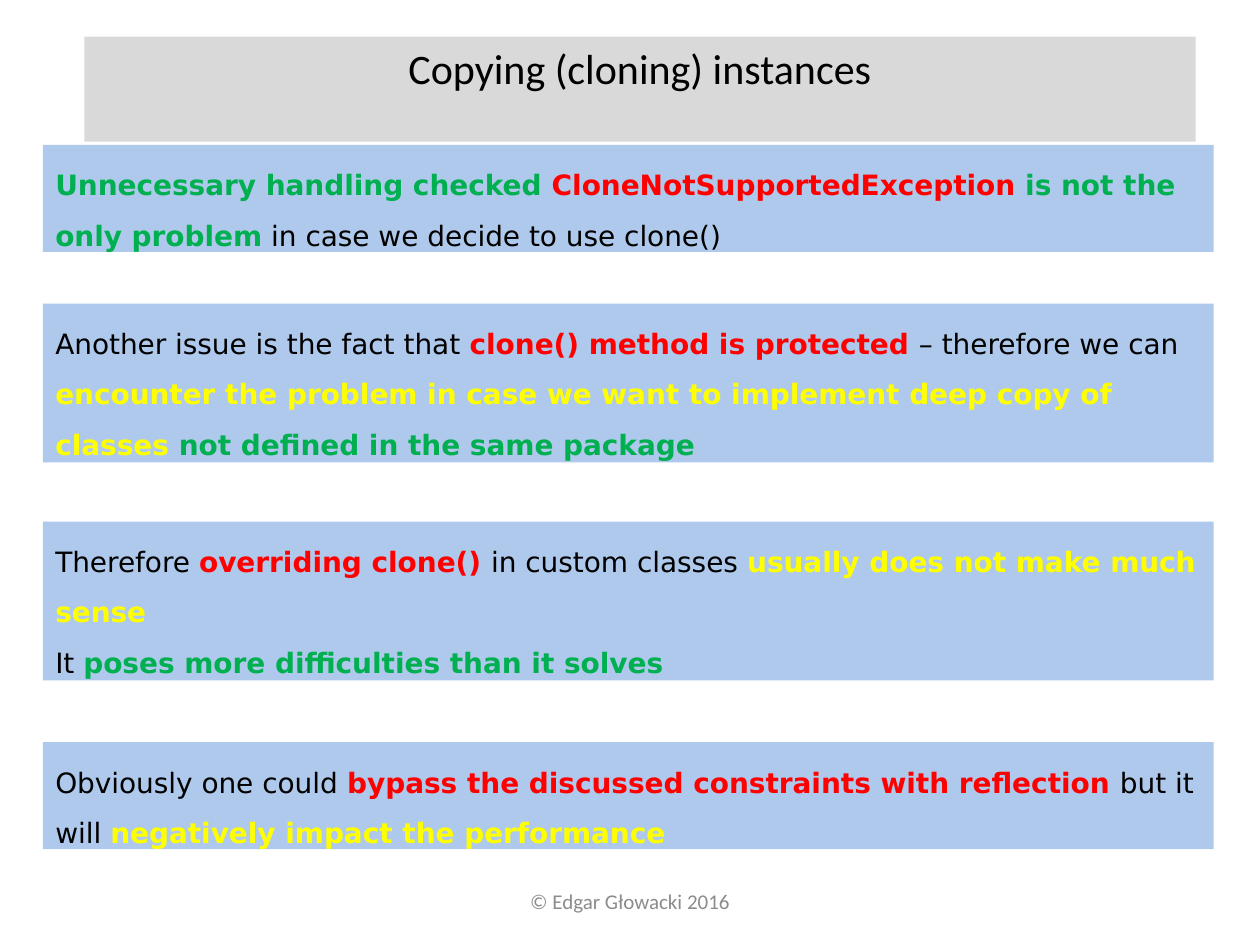
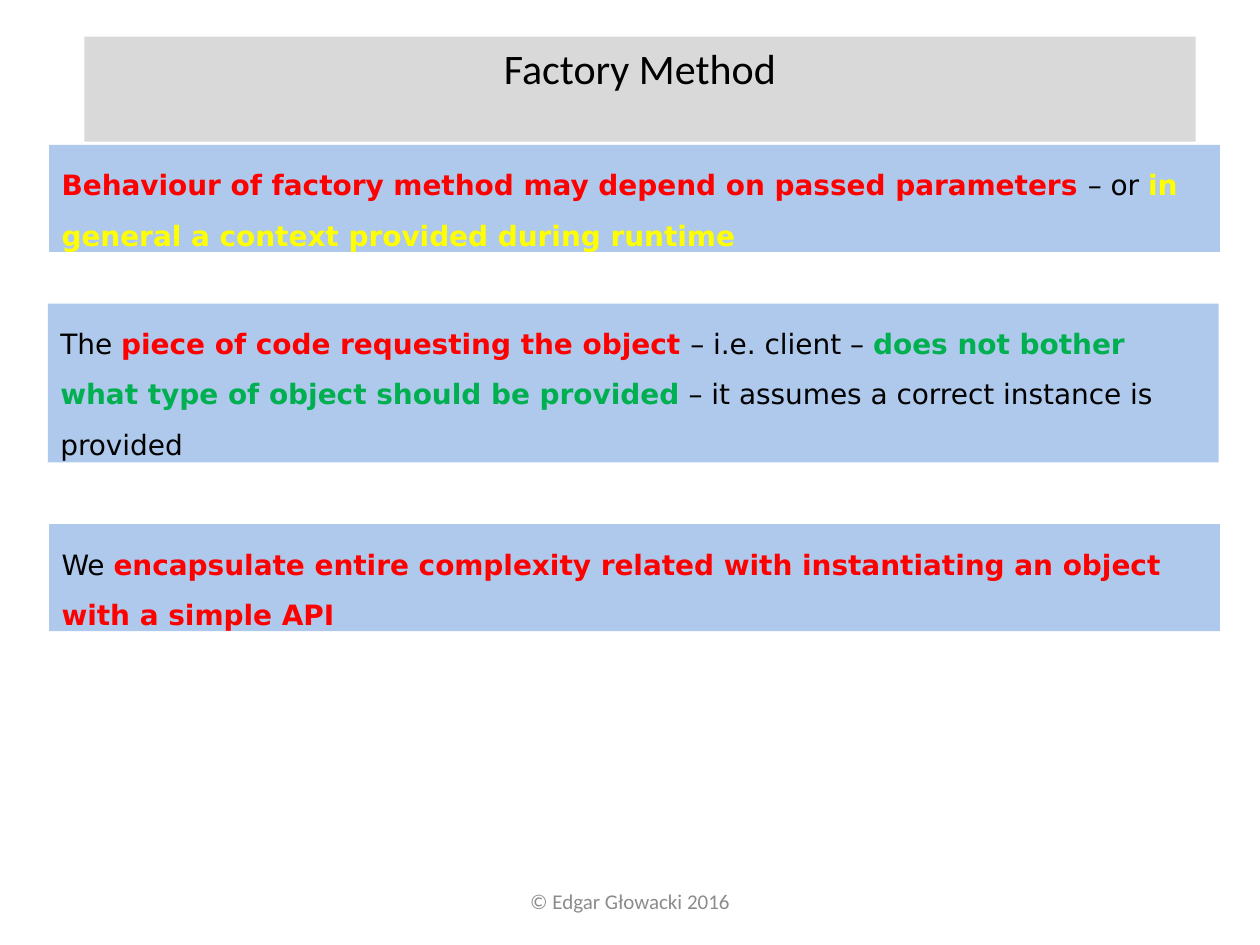
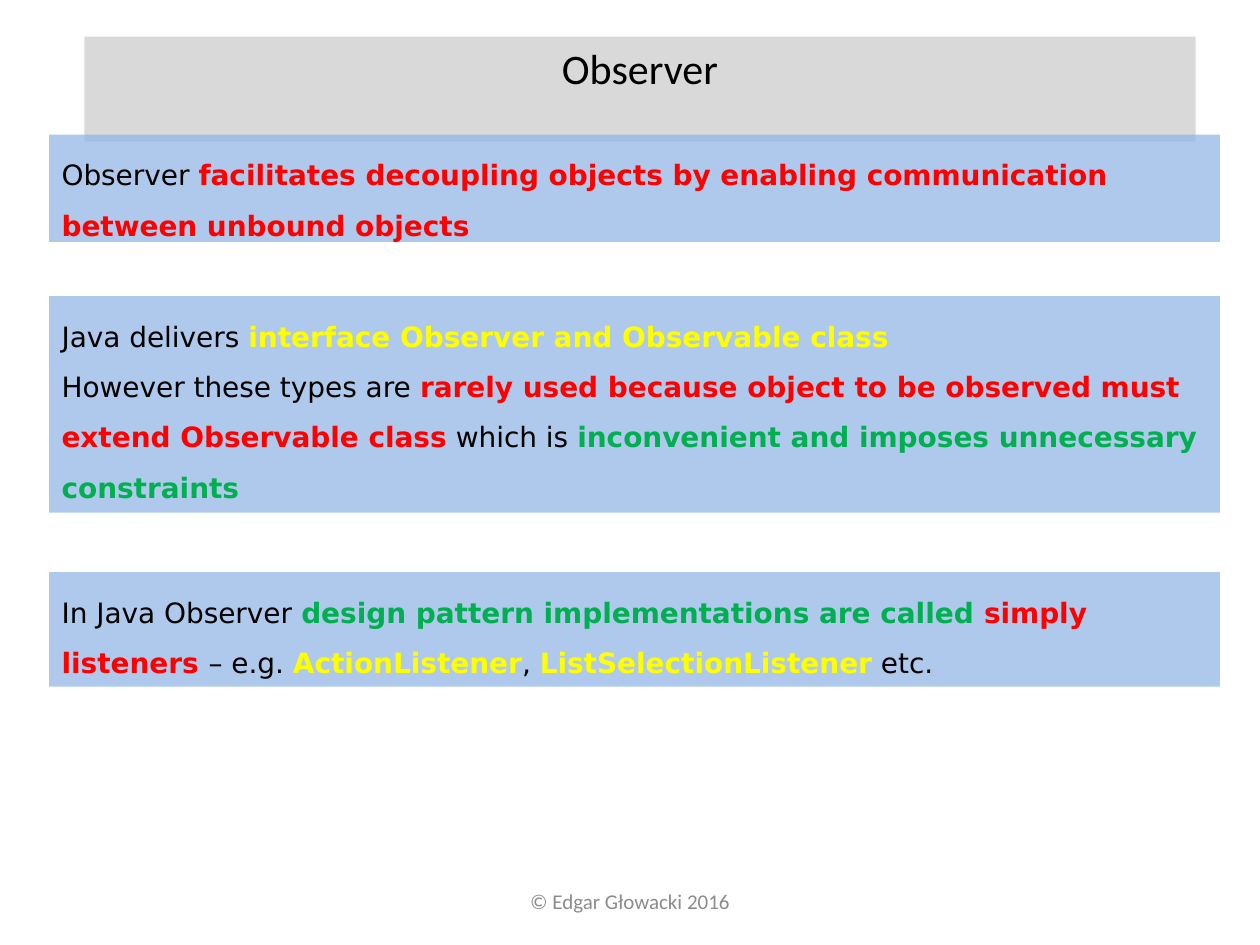
"""Build three slides on cloning, the factory method and the observer pattern."""
from dataclasses import dataclass
from typing import Any

from pptx import Presentation
from pptx.dml.color import RGBColor
from pptx.enum.shapes import MSO_SHAPE
from pptx.enum.text import MSO_ANCHOR, MSO_AUTO_SIZE, PP_ALIGN
from pptx.oxml.ns import qn
from pptx.util import Pt
from lxml.etree import SubElement

BLACK = RGBColor(0x00, 0x00, 0x00)
RED = RGBColor(0xFF, 0x00, 0x00)
GREEN = RGBColor(0x00, 0xB0, 0x50)
YELLOW = RGBColor(0xFF, 0xFF, 0x00)
TITLE_GREY = RGBColor(0xD9, 0xD9, 0xD9)
FOOTER_GREY = RGBColor(0x8C, 0x8C, 0x8C)
PANEL_BLUE = RGBColor(0x8E, 0xB4, 0xE3)

PANEL_OPACITY = 71
PANEL_WIDTH = 669
TWO_LINES, THREE_LINES, FOUR_LINES = 61.2, 90.7, 123.8
FOOTER_TEXT = "© Edgar Głowacki 2016"

TITLE_PLACE = {"left": Pt(48.2), "top": Pt(20.9), "width": Pt(635), "height": Pt(36)}
FOOTER_PLACE = {"left": Pt(246), "top": Pt(500.4), "width": Pt(228), "height": Pt(28.8)}
TITLE_FONT = {"name": "Calibri", "size": Pt(24), "bold": False}
FOOTER_FONT = {"name": "Calibri", "size": Pt(12), "bold": False}
PANEL_FONT = {"name": "DejaVu Sans", "size": Pt(16)}
GROWING_FRAME = {
    "word_wrap": True,
    "auto_size": MSO_AUTO_SIZE.SHAPE_TO_FIT_TEXT,
    "vertical_anchor": MSO_ANCHOR.TOP,
}
FOOTER_FRAME = {"word_wrap": True, "vertical_anchor": MSO_ANCHOR.MIDDLE}
PANEL_PARAGRAPH = {"alignment": PP_ALIGN.LEFT, "line_spacing": 1.5}


@dataclass(frozen=True)
class Span:
    """Words in one colour; every colour but black is bold."""

    text: str
    color: RGBColor = BLACK


@dataclass(frozen=True)
class Panel:
    """A blue panel with paragraphs of spans, placed in points."""

    left: float
    top: float
    height: float
    paragraphs: list[list[Span]]


@dataclass(frozen=True)
class Page:
    """A titled page of panels."""

    title: str
    panels: list[Panel]


PAGES = [
    Page("Copying (cloning) instances", [
        Panel(24.5, 82.8, TWO_LINES, [[
            Span("Unnecessary handling checked ", GREEN),
            Span("CloneNotSupportedException", RED),
            Span(" is not the only problem", GREEN),
            Span(" in case we decide to use clone()"),
        ]]),
        Panel(24.5, 173.5, THREE_LINES, [[
            Span("Another issue is the fact that "),
            Span("clone() method is protected ", RED),
            Span("– therefore we can "),
            Span("encounter the problem in case we want to implement "
                 "deep copy of classes ", YELLOW),
            Span("not defined in the same package", GREEN),
        ]]),
        Panel(24.5, 298.1, THREE_LINES, [
            [
                Span("Therefore "),
                Span("overriding clone() ", RED),
                Span("in custom classes "),
                Span("usually does not make much sense", YELLOW),
            ],
            [Span("It "), Span("poses more difficulties than it solves", GREEN)],
        ]),
        Panel(24.5, 424.1, TWO_LINES, [[
            Span("Obviously one could "),
            Span("bypass the discussed constraints with reflection ", RED),
            Span("but it will "),
            Span("negatively impact the performance", YELLOW),
        ]]),
    ]),
    Page("Factory Method", [
        Panel(28.1, 82.8, TWO_LINES, [[
            Span("Behaviour of factory method may depend on passed parameters ", RED),
            Span("– or "),
            Span("in general a context provided during runtime", YELLOW),
        ]]),
        Panel(27.4, 173.5, THREE_LINES, [[
            Span("The "),
            Span("piece of code requesting the object ", RED),
            Span("– i.e. client – "),
            Span("does not bother what type of object should be provided", GREEN),
            Span(" – it assumes a correct instance is provided"),
        ]]),
        Panel(28.1, 299.5, TWO_LINES, [[
            Span("We "),
            Span("encapsulate entire complexity related with instantiating "
                 "an object with a simple API", RED),
        ]]),
    ]),
    Page("Observer", [
        Panel(28.1, 77, TWO_LINES, [[
            Span("Observer "),
            Span("facilitates decoupling objects by enabling communication "
                 "between unbound objects", RED),
        ]]),
        Panel(28.1, 169.2, FOUR_LINES, [
            [
                Span("Java delivers "),
                Span("interface Observer and Observable class", YELLOW),
            ],
            [
                Span("However these types are "),
                Span("rarely used because object to be observed must "
                     "extend Observable class", RED),
                Span(" which is "),
                Span("inconvenient and imposes unnecessary constraints", GREEN),
            ],
        ]),
        Panel(28.1, 326.9, 65.5, [[
            Span("In Java Observer "),
            Span("design pattern implementations are called ", GREEN),
            Span("simply listeners ", RED),
            Span("– e.g. "),
            Span("ActionListener", YELLOW),
            Span(", "),
            Span("ListSelectionListener", YELLOW),
            Span(" etc."),
        ]]),
    ]),
]


def apply_format(target: Any, values: dict[str, Any]) -> None:
    """Set each named attribute on the target."""
    for name, value in values.items():
        setattr(target, name, value)


def write_span(paragraph: Any, span: Span, font: dict[str, Any]) -> None:
    """Add a span to a paragraph in the given font."""
    run = paragraph.add_run()
    run.text = span.text
    apply_format(run.font, {"bold": span.color != BLACK, **font})
    run.font.color.rgb = span.color


def write_centred(box: Any, span: Span, font: dict[str, Any], frame: dict[str, Any]) -> None:
    """Write one centred line into a box."""
    apply_format(box.text_frame, frame)
    paragraph = box.text_frame.paragraphs[0]
    paragraph.alignment = PP_ALIGN.CENTER
    write_span(paragraph, span, font)


def add_footer(slide: Any) -> None:
    """Add the copyright line."""
    box = slide.shapes.add_textbox(**FOOTER_PLACE)
    write_centred(box, Span(FOOTER_TEXT, FOOTER_GREY), FOOTER_FONT, FOOTER_FRAME)


def format_title(slide: Any, title: str) -> None:
    """Turn the title placeholder into the grey title band."""
    band = slide.shapes.title
    apply_format(band, TITLE_PLACE)
    band.fill.solid()
    band.fill.fore_color.rgb = TITLE_GREY
    write_centred(band, Span(title), TITLE_FONT, GROWING_FRAME)


def add_panel(slide: Any, panel: Panel) -> None:
    """Draw a translucent panel with its text."""
    box = slide.shapes.add_shape(
        MSO_SHAPE.RECTANGLE, Pt(panel.left), Pt(panel.top), Pt(PANEL_WIDTH), Pt(panel.height)
    )
    box.shadow.inherit = False
    box.line.fill.background()
    box.fill.solid()
    box.fill.fore_color.rgb = PANEL_BLUE
    color = box.element.spPr.find(f"{qn('a:solidFill')}/{qn('a:srgbClr')}")
    SubElement(color, qn("a:alpha"), val=str(PANEL_OPACITY * 1000))
    frame = box.text_frame
    apply_format(frame, GROWING_FRAME)
    for index, spans in enumerate(panel.paragraphs):
        paragraph = frame.add_paragraph() if index else frame.paragraphs[0]
        apply_format(paragraph, PANEL_PARAGRAPH)
        for span in spans:
            write_span(paragraph, span, PANEL_FONT)


def main() -> None:
    """Build and save the deck."""
    deck = Presentation()
    apply_format(deck, {"slide_width": Pt(720), "slide_height": Pt(540)})
    title_only = deck.slide_layouts[5]
    for page in PAGES:
        slide = deck.slides.add_slide(title_only)
        add_footer(slide)
        format_title(slide, page.title)
        for panel in page.panels:
            add_panel(slide, panel)
    deck.save("out.pptx")


if __name__ == "__main__":
    main()
